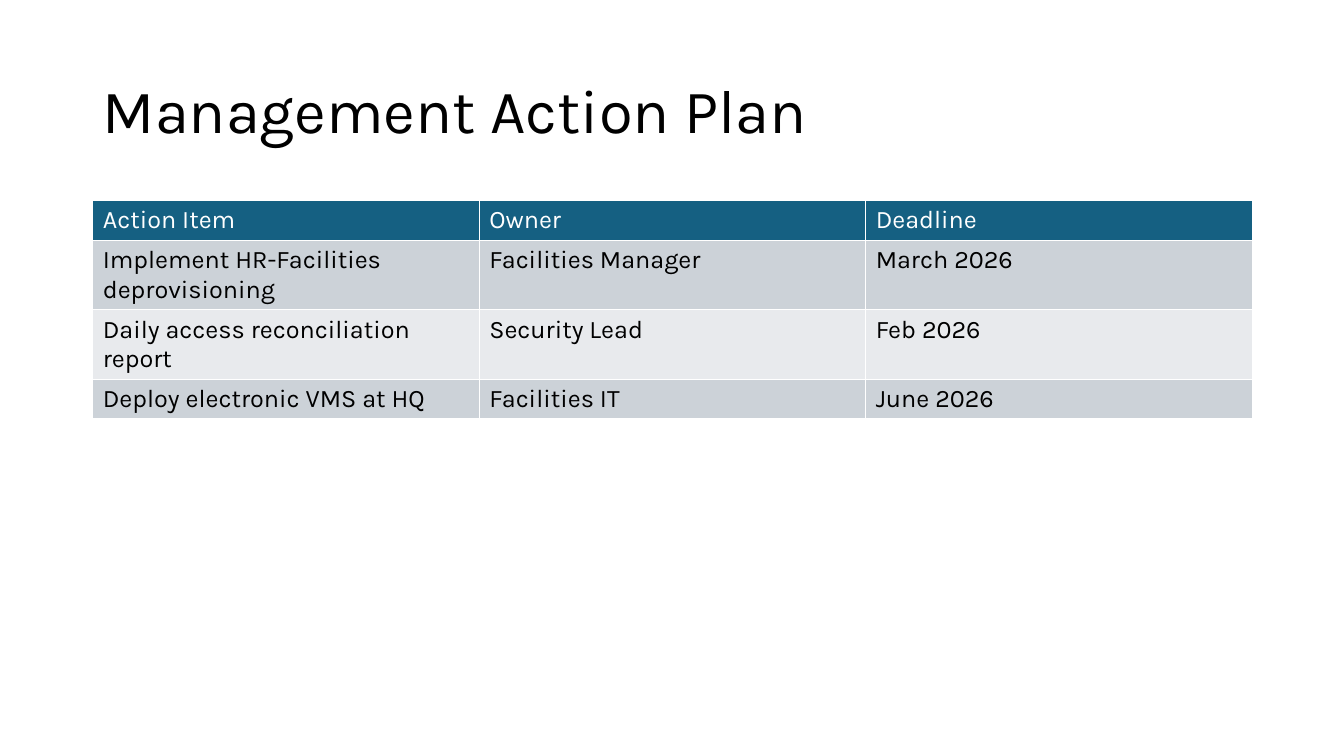
from dataclasses import dataclass
from pptx import Presentation
from pptx.dml.color import RGBColor
from pptx.enum.text import MSO_ANCHOR, MSO_AUTO_SIZE, PP_ALIGN
from pptx.util import Inches, Pt


@dataclass(frozen=True)
class Theme:
    font: str = "Karla"
    ink: str = "000000"
    paper: str = "FFFFFF"
    head: str = "156082"
    bands: tuple = ("CCD2D8", "E8EAED")
    title: int = 44
    body: int = 18


theme = Theme()


def style(para, size, color):
    for run in para.runs:
        run.font.name = theme.font
        run.font.size = Pt(size)
        run.font.bold = False
        run.font.color.rgb = RGBColor.from_string(color)


deck = Presentation()
deck.slide_width = Inches(13.33)
deck.slide_height = Inches(7.5)
slide = deck.slides.add_slide(deck.slide_layouts[5])

left, width = Inches(0.92), Inches(11.5)
title = slide.shapes.title
title.left, title.top = left, Inches(0.4)
title.width, title.height = width, Inches(1.45)
frame = title.text_frame
frame.text = "Management Action Plan"
frame.word_wrap = True
frame.auto_size = MSO_AUTO_SIZE.NONE
frame.vertical_anchor = MSO_ANCHOR.MIDDLE
para = frame.paragraphs[0]
para.alignment = PP_ALIGN.LEFT
para.line_spacing = 0.9
style(para, theme.title, theme.ink)

plan = [
    ("Action Item", "Owner", "Deadline"),
    ("Implement HR-Facilities deprovisioning", "Facilities Manager", "March 2026"),
    ("Daily access reconciliation report", "Security Lead", "Feb 2026"),
    ("Deploy electronic VMS at HQ", "Facilities IT", "June 2026"),
]
heights = [0.39, 0.69, 0.69, 0.39]
table = slide.shapes.add_table(
    len(plan), len(plan[0]), left, Inches(1.99), width, Inches(sum(heights))
).table

for r, (items, height) in enumerate(zip(plan, heights)):
    table.rows[r].height = Inches(height)
    fill = theme.bands[(r - 1) % 2] if r else theme.head
    color = theme.ink if r else theme.paper
    for c, text in enumerate(items):
        cell = table.cell(r, c)
        cell.fill.solid()
        cell.fill.fore_color.rgb = RGBColor.from_string(fill)
        cell.text_frame.text = text
        style(cell.text_frame.paragraphs[0], theme.body, color)

deck.save("out.pptx")
